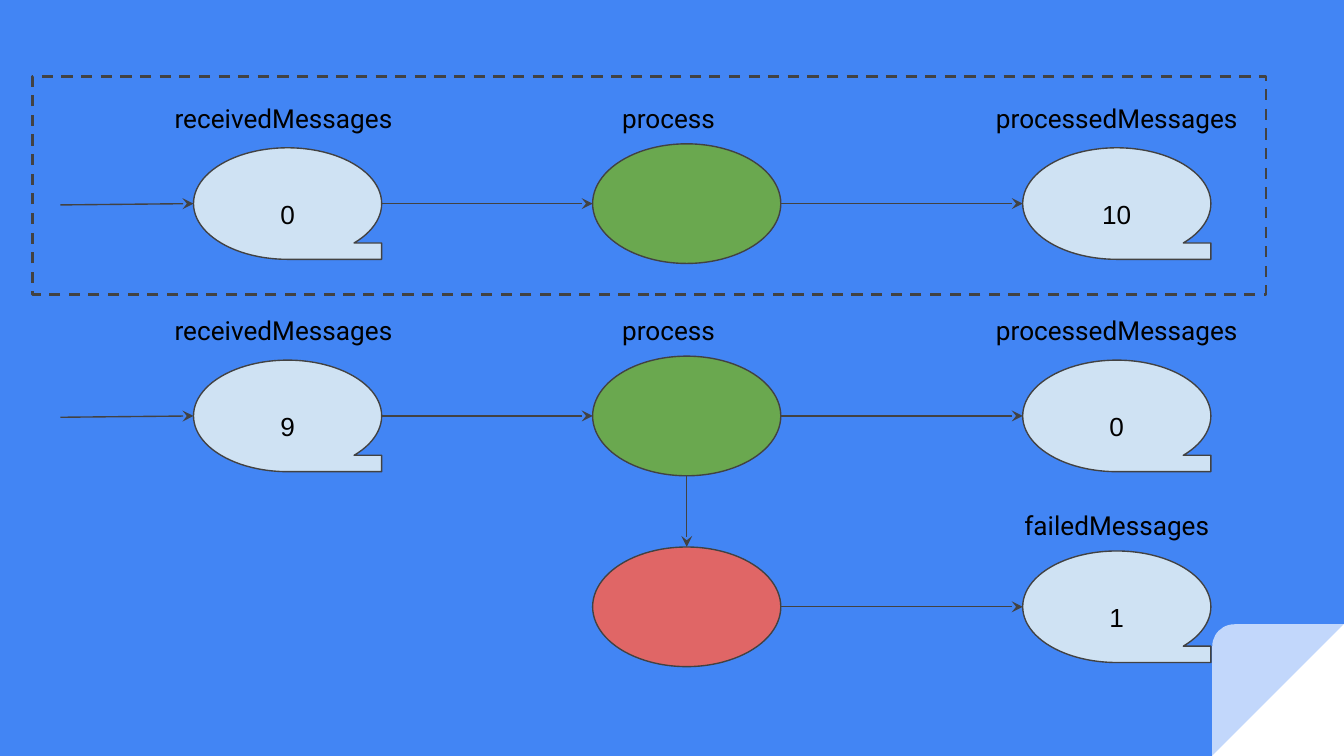
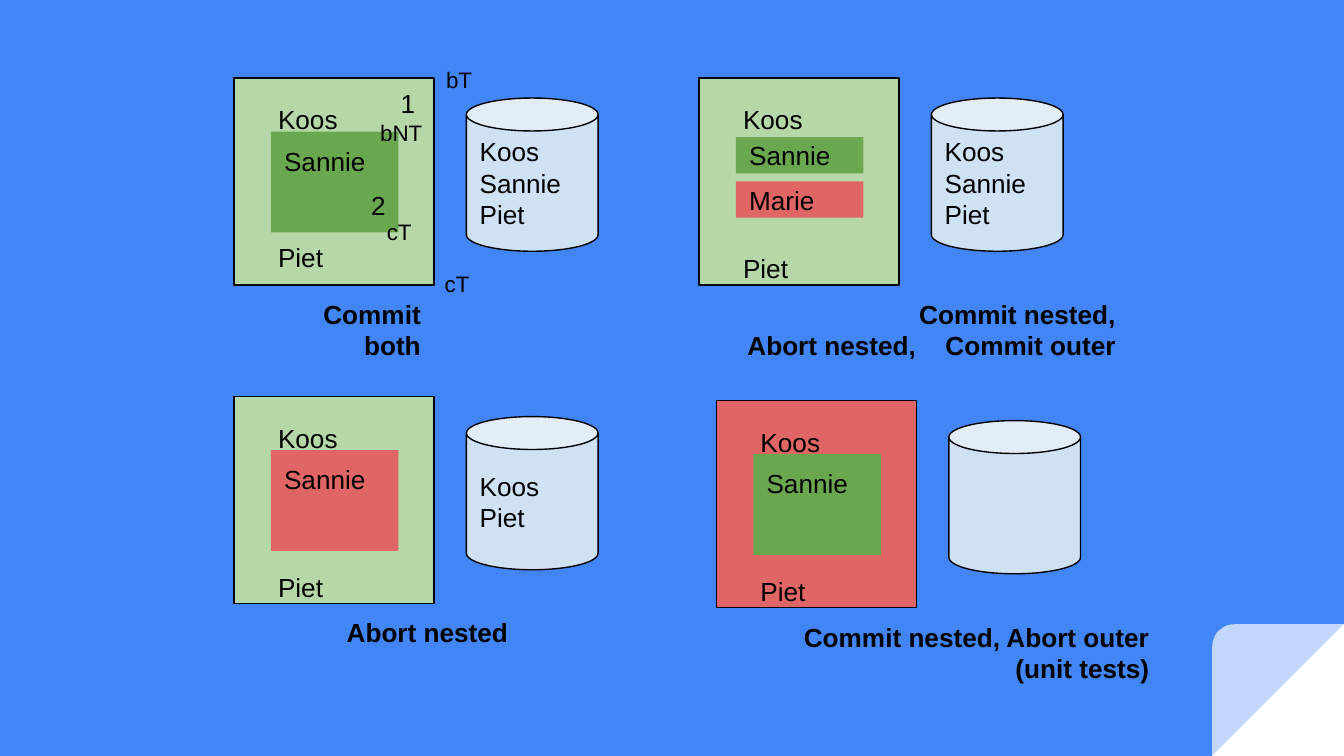
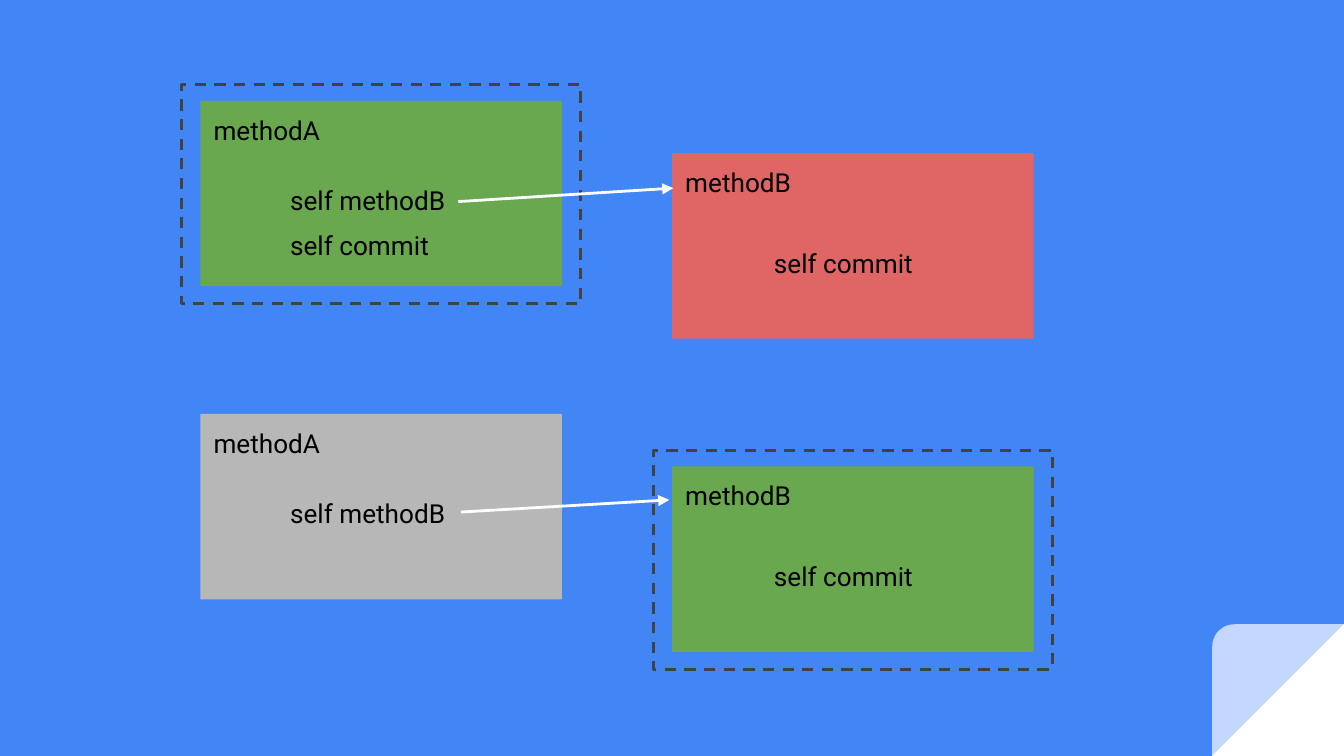
from dataclasses import dataclass
from typing import Optional

from lxml import etree
from pptx import Presentation
from pptx.dml.color import RGBColor
from pptx.enum.dml import MSO_LINE
from pptx.enum.shapes import MSO_CONNECTOR, MSO_SHAPE
from pptx.enum.text import MSO_ANCHOR, PP_ALIGN
from pptx.oxml.ns import qn
from pptx.util import Emu, Inches, Pt

RECT, OVAL, CAN = MSO_SHAPE.RECTANGLE, MSO_SHAPE.OVAL, MSO_SHAPE.CAN
TAPE = MSO_SHAPE.FLOWCHART_SEQUENTIAL_ACCESS_STORAGE
WEDGE, ROUND = MSO_SHAPE.RIGHT_TRIANGLE, MSO_SHAPE.ROUND_1_RECTANGLE
STRAIGHT, DASH = MSO_CONNECTOR.STRAIGHT, MSO_LINE.DASH
LEFT, MID, RIGHT = PP_ALIGN.LEFT, PP_ALIGN.CENTER, PP_ALIGN.RIGHT
TOP, HALF, LOW = MSO_ANCHOR.TOP, MSO_ANCHOR.MIDDLE, MSO_ANCHOR.BOTTOM

# Grid: square cells, 100 columns by 56.25 rows
CELL = Inches(0.1)
COLS, ROWS = 100, 56.25
HEX = {
    "blue": "4285F4", "white": "FFFFFF", "black": "000000", "dark": "424242",
    "green": "6AA84F", "mint": "B6D7A8", "red": "E06666", "pale": "CFE2F3",
    "gray": "B7B7B7",
}
SANS, HEAD = "Arial", "Roboto"


@dataclass
class Box:
    x: float
    y: float
    w: float
    h: float


@dataclass
class Style:
    font: str = SANS
    size: int = 14
    bold: bool = False
    align: PP_ALIGN = LEFT
    anchor: MSO_ANCHOR = TOP


@dataclass
class Panel:
    x: float
    y: float
    fill: str
    nested: list[tuple[str, str, float, float]]  # text, fill, row, height
    stored: str
    anchor: MSO_ANCHOR = TOP


@dataclass
class Note:
    text: str
    box: Box
    style: Style


@dataclass
class Card:
    x: float
    y: float
    name: str
    fill: str
    calls: list[tuple[str, float, float, float]]  # text, column, row, width
    framed: bool = False


BODY = Style()
LABEL = Style(HEAD, align=MID)
CODE = Style(HEAD)
STRONG = Style(bold=True, align=RIGHT)
COUNT = Style(align=MID)
SMALL = Style(size=12)


def span(n: float) -> Emu:
    return Emu(round(n * CELL))


def place(box: Box) -> list[Emu]:
    return [span(n) for n in (box.x, box.y, box.w, box.h)]


def tint(name: str) -> RGBColor:
    return RGBColor.from_string(HEX[name])


def write(shape, text: str, style: Style) -> None:
    frame = shape.text_frame
    frame.word_wrap = True
    frame.vertical_anchor = style.anchor
    frame.margin_left = frame.margin_right = span(1)
    frame.margin_top = frame.margin_bottom = span(1)
    frame.text = text
    for para in frame.paragraphs:
        para.alignment = style.align
        para.font.name, para.font.size = style.font, Pt(style.size)
        para.font.bold = style.bold
        para.font.color.rgb = tint("black")


def draw(slide, kind, box: Box, fill: Optional[str] = None,
         line: Optional[str] = None, width: float = 0.75,
         text: str = "", style: Style = BODY):
    shape = slide.shapes.add_shape(kind, *place(box))
    shape.shadow.inherit = False
    if fill:
        shape.fill.solid()
        shape.fill.fore_color.rgb = tint(fill)
    else:
        shape.fill.background()
    if line:
        shape.line.color.rgb = tint(line)
        shape.line.width = Pt(width)
    else:
        shape.line.fill.background()
    if text:
        write(shape, text, style)
    return shape


def label(slide, text: str, box: Box, style: Style = BODY):
    shape = slide.shapes.add_textbox(*place(box))
    write(shape, text, style)
    return shape


def dashed(slide, box: Box) -> None:
    draw(slide, RECT, box, line="dark", width=1.5).line.dash_style = DASH


def arrow(slide, start: tuple[float, float], end: tuple[float, float],
          color: str = "dark", width: float = 0.75, head: str = "stealth",
          tail=None, goal=None) -> None:
    ends = [span(n) for n in (*start, *end)]
    link = slide.shapes.add_connector(STRAIGHT, *ends)
    if tail is not None:
        link.begin_connect(tail, 3)
    if goal is not None:
        link.end_connect(goal, 1)
    link.line.color.rgb = tint(color)
    link.line.width = Pt(width)
    etree.SubElement(link.line._get_or_add_ln(), qn("a:tailEnd"), type=head)
    etree.SubElement(link._element.spPr, qn("a:effectLst"))


# Shared look: blue ground and folded corner on the master
def dress(deck, slide) -> None:
    master = deck.slide_master
    master.background.fill.solid()
    master.background.fill.fore_color.rgb = tint("blue")
    side = 9.8
    spot = Box(COLS - side, ROWS - side, side, side)
    fold = [draw(slide, kind, spot, "white") for kind in (WEDGE, ROUND)]
    fold[1].adjustments[0] = 0.167
    color = fold[1]._element.spPr.find(".//" + qn("a:srgbClr"))
    etree.SubElement(color, qn("a:alpha"), val="68000")
    for num, part in enumerate(fold, 20):
        part._element.spPr.find(qn("a:xfrm")).set("flipH", "1")
        part._element.find(".//" + qn("p:cNvPr")).set("id", str(num))
        master.shapes._spTree.append(part._element)


# Slide 1: message flow
WIDE, TALL, DEEP = 14, 8.3, 8.9
FIRST, STEP, LAST = 21.4, 51.1, 83.1


def tape(slide, mid: float, row: float, count: str):
    box = Box(mid - WIDE / 2, row - TALL / 2, WIDE, TALL)
    style = Style(align=MID, anchor=LOW)
    return draw(slide, TAPE, box, "pale", "dark", text=count, style=style)


def oval(slide, row: float, fill: str) -> None:
    box = Box(STEP - WIDE / 2, row - DEEP / 2, WIDE, DEEP)
    draw(slide, OVAL, box, fill, "dark")


def output(slide, row: float, name: str, count: str, lift: float) -> None:
    goal = tape(slide, LAST, row, count)
    label(slide, name, Box(LAST - 10.2, row - lift, 20.4, 5.4), LABEL)
    arrow(slide, (STEP + WIDE / 2, row), (LAST - WIDE / 2, row), goal=goal)


def flow(slide) -> None:
    dashed(slide, Box(2.4, 5.7, 91.8, 16.2))
    lift = 8.55
    for row, queued, done in ((15.15, "0", "10"), (30.95, "9", "0")):
        queue = tape(slide, FIRST, row, queued)
        label(slide, "receivedMessages",
              Box(11.5, row - lift, 19.2, 5.4), LABEL)
        arrow(slide, (4.5, row + 0.1), (FIRST - WIDE / 2, row), goal=queue)
        oval(slide, row, "green")
        arrow(slide, (FIRST + WIDE / 2, row), (STEP - WIDE / 2, row),
              tail=queue)
        label(slide, "process", Box(45, row - lift, 9.5, 5.4), LABEL)
        output(slide, row, "processedMessages", done, lift)
    fail = 45.15
    oval(slide, fail, "red")
    arrow(slide, (STEP, row + DEEP / 2), (STEP, fail - DEEP / 2))
    output(slide, fail, "failedMessages", "1", 8.25)


# Slide 2: nested transactions
PANELS = [
    Panel(17.4, 5.8, "mint", [("Sannie", "green", 4, 7.5)],
          "Koos\nSannie\nPiet", HALF),
    Panel(17.4, 29.5, "mint", [("Sannie", "red", 4, 7.5)], "Koos\nPiet"),
    Panel(53.3, 29.8, "red", [("Sannie", "green", 4, 7.5)], ""),
    Panel(52, 5.8, "mint",
          [("Sannie", "green", 4.4, 2.7), ("Marie", "red", 7.7, 2.7)],
          "Koos\nSannie\nPiet"),
]
NOTES = [
    Note("Commit both", Box(19.3, 21.2, 13, 3.7), STRONG),
    Note("Abort nested", Box(18.7, 44.9, 20.1, 3.7), STRONG),
    Note("Commit nested, Abort outer (unit tests)",
         Box(54.6, 45.2, 31.9, 3.7), STRONG),
    Note("1", Box(28.8, 5.5, 3.1, 2), COUNT),
    Note("2", Box(26.6, 13.1, 3.1, 2), COUNT),
    Note("bT", Box(32.2, 3.9, 4.8, 2), SMALL),
    Note("bNT", Box(27.3, 7.9, 6.3, 2), SMALL),
    Note("cT", Box(27.8, 15.2, 5.8, 2), SMALL),
    Note("cT", Box(32.1, 19.1, 5.8, 2), SMALL),
]


def panel(slide, item: Panel) -> None:
    x, y = item.x, item.y
    draw(slide, RECT, Box(x, y, 14.9, 15.4), item.fill, "black")
    label(slide, "Koos", Box(x + 2.3, y + 0.9, 8.1, 2.7))
    label(slide, "Piet", Box(x + 2.3, y + 12, 8.1, 2.7),
          Style(anchor=item.anchor))
    for text, fill, row, high in item.nested:
        style = Style(anchor=HALF if high < 5 else TOP)
        draw(slide, RECT, Box(x + 2.75, y + row, 9.5, high), fill,
             text=text, style=style)
    store = draw(slide, CAN, Box(x + 17.3, y + 1.5, 9.8, 11.4), "pale",
                 "black", text=item.stored, style=Style(anchor=HALF))
    store.adjustments[0] = 0.25


def nest(slide) -> None:
    for item in PANELS:
        panel(slide, item)
    for note in NOTES:
        label(slide, note.text, note.box, note.style)
    # Two outcomes on one line, held apart by a wide space
    both = label(slide, "Commit nested,\nAbort nested,",
                 Box(53.2, 21.2, 30.8, 3.7), STRONG)
    para = both.text_frame.paragraphs[1]
    gap = para.add_run()
    gap.text = " "
    gap.font._element.set("spc", "1170")
    para.add_run().text = "Commit outer"


# Slide 3: commit in the caller or in the called method
CARDS = [
    Card(14.9, 7.5, "methodA", "green",
         [("self commit", 5.7, 8.6, 12.9), ("self methodB", 5.7, 5.2, 17.6)],
         True),
    Card(50, 11.4, "methodB", "red", [("self commit", 6.6, 6, 12.9)]),
    Card(14.9, 30.8, "methodA", "gray", [("self methodB", 5.7, 5.2, 17.6)]),
    Card(50, 34.7, "methodB", "green", [("self commit", 6.6, 6, 12.9)], True),
]
CALLS = [((34.1, 15), (50.1, 14)), ((34.3, 38.1), (49.8, 37.2))]


def calls(slide) -> None:
    for card in CARDS:
        if card.framed:
            dashed(slide, Box(card.x - 1.4, card.y - 1.2, 29.7, 16.3))
        draw(slide, RECT, Box(card.x, card.y, 26.9, 13.8), card.fill,
             text=card.name, style=CODE)
        for text, col, row, wide in card.calls:
            label(slide, text,
                  Box(card.x + col, card.y + row, wide, 3.4), CODE)
    for start, end in CALLS:
        arrow(slide, start, end, "white", 1.5, "triangle")


def main() -> None:
    deck = Presentation()
    deck.slide_width, deck.slide_height = span(COLS), span(ROWS)
    blank = deck.slide_layouts[6]
    for num, paint in enumerate((flow, nest, calls)):
        slide = deck.slides.add_slide(blank)
        if num == 0:
            dress(deck, slide)
        paint(slide)
    deck.save("out.pptx")


if __name__ == "__main__":
    main()
